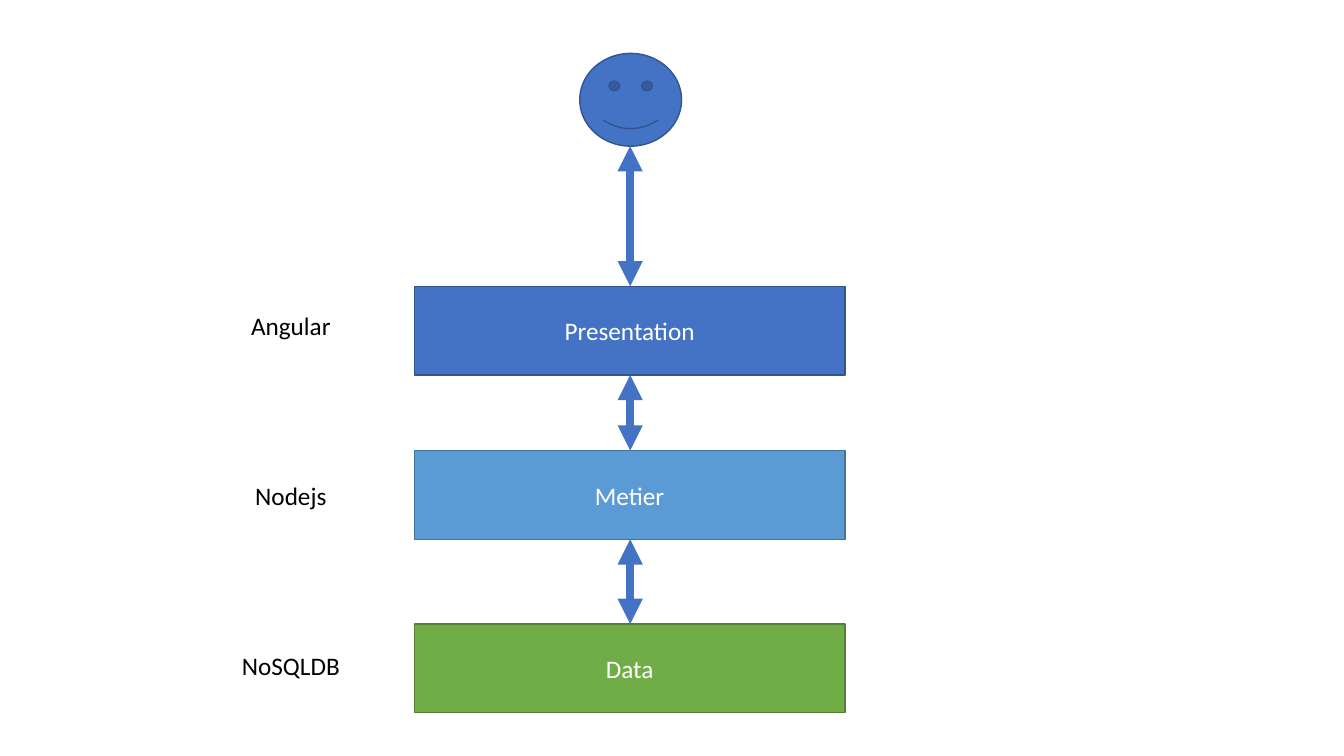
from dataclasses import dataclass

from lxml import etree
from pptx import Presentation
from pptx.dml.color import RGBColor
from pptx.enum.shapes import MSO_CONNECTOR, MSO_SHAPE
from pptx.enum.text import MSO_ANCHOR, PP_ALIGN
from pptx.oxml.ns import qn
from pptx.util import Inches, Pt

RECTANGLE = MSO_SHAPE.RECTANGLE
SMILEY = MSO_SHAPE.SMILEY_FACE
STRAIGHT = MSO_CONNECTOR.STRAIGHT
CENTER = PP_ALIGN.CENTER
MIDDLE = MSO_ANCHOR.MIDDLE


@dataclass(frozen=True)
class Theme:
    font: str = "Calibri"
    text_size: float = 18
    outline_width: float = 1
    arrow_width: float = 6
    blue: str = "4472C4"
    blue_edge: str = "325491"
    sky: str = "5B9BD5"
    sky_edge: str = "43739E"
    green: str = "70AD47"
    green_edge: str = "538035"
    light: str = "FFFFFF"
    dark: str = "000000"


THEME = Theme()

LAYER_LEFT, LAYER_WIDTH, LAYER_HEIGHT = 4.11, 4.27, 0.88
AXIS = 6.25
USER_BOX = (5.75, 0.53, 1.01, 0.92)
LABEL_LEFT, LABEL_TOP, LABEL_WIDTH, LABEL_HEIGHT = 2.27, 3.03, 1.23, 0.4
LABEL_STEP = 1.685

# name, technology, top, fill, outline
LAYERS = [
    ("Presentation", "Angular", 2.84, THEME.blue, THEME.blue_edge),
    ("Metier", "Nodejs", 4.47, THEME.sky, THEME.sky_edge),
    ("Data", "NoSQLDB", 6.19, THEME.green, THEME.green_edge),
]


def write_centered(frame, text, color):
    paragraph = frame.paragraphs[0]
    paragraph.alignment = CENTER
    run = paragraph.add_run()
    run.text = text
    run.font.name = THEME.font
    run.font.size = Pt(THEME.text_size)
    run.font.color.rgb = RGBColor.from_string(color)


def add_figure(slide, preset, box, fill, edge):
    """Add a flat, outlined preset shape."""
    figure = slide.shapes.add_shape(preset, *map(Inches, box))
    figure.shadow.inherit = False
    figure.fill.solid()
    figure.fill.fore_color.rgb = RGBColor.from_string(fill)
    figure.line.color.rgb = RGBColor.from_string(edge)
    figure.line.width = Pt(THEME.outline_width)
    return figure


def add_layer(slide, box, name, fill, edge):
    layer = add_figure(slide, RECTANGLE, box, fill, edge)
    layer.text_frame.vertical_anchor = MIDDLE
    write_centered(layer.text_frame, name, THEME.light)


def add_technology(slide, box, technology):
    label = slide.shapes.add_textbox(*map(Inches, box))
    label.text_frame.word_wrap = False
    write_centered(label.text_frame, technology, THEME.dark)


def add_exchange(slide, top, bottom):
    """Add a vertical double-headed arrow on the diagram axis."""
    arrow = slide.shapes.add_connector(
        STRAIGHT, Inches(AXIS), Inches(top), Inches(AXIS), Inches(bottom))
    arrow.line.color.rgb = RGBColor.from_string(THEME.blue)
    arrow.line.width = Pt(THEME.arrow_width)
    outline = arrow.line._get_or_add_ln()
    for end in ("a:headEnd", "a:tailEnd"):
        etree.SubElement(outline, qn(end), type="triangle")
    etree.SubElement(arrow._element.spPr, qn("a:effectLst"))


def build_architecture(slide):
    """Stack the user and the layers, joined by arrows."""
    add_figure(slide, SMILEY, USER_BOX, THEME.blue, THEME.blue_edge)
    previous_bottom = USER_BOX[1] + USER_BOX[3]
    for index, (name, technology, top, fill, edge) in enumerate(LAYERS):
        add_layer(slide, (LAYER_LEFT, top, LAYER_WIDTH, LAYER_HEIGHT), name, fill, edge)
        label_top = LABEL_TOP + index * LABEL_STEP
        add_technology(slide, (LABEL_LEFT, label_top, LABEL_WIDTH, LABEL_HEIGHT), technology)
        add_exchange(slide, previous_bottom, top)
        previous_bottom = top + LAYER_HEIGHT


def main():
    deck = Presentation()
    deck.slide_width, deck.slide_height = Inches(13.33), Inches(7.5)
    build_architecture(deck.slides.add_slide(deck.slide_layouts[6]))
    deck.save("out.pptx")


if __name__ == "__main__":
    main()
